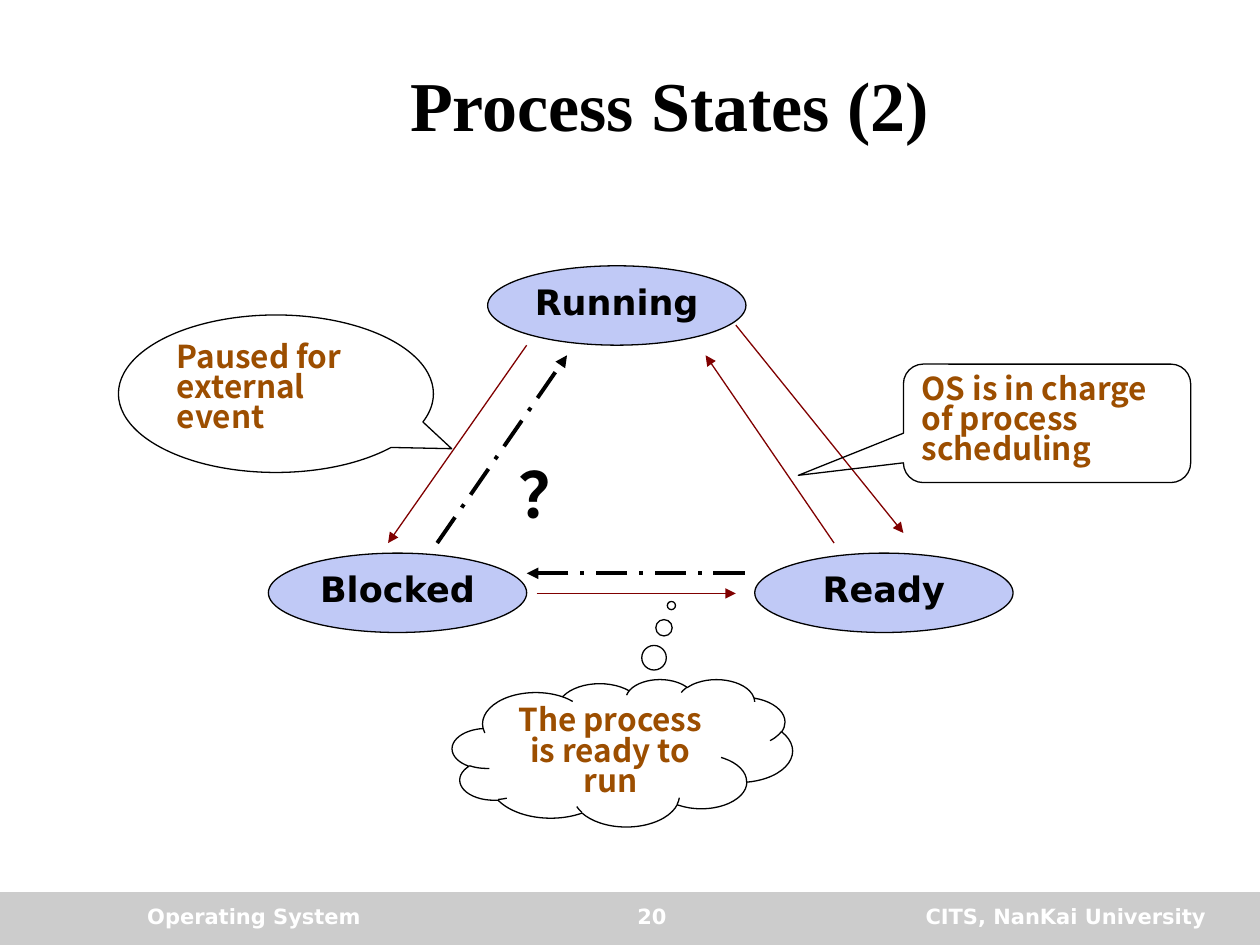
import dataclasses

import pptx
import pptx.dml.color
import pptx.enum.dml
import pptx.enum.shapes
import pptx.enum.text
import pptx.oxml.ns
import pptx.util
from lxml import etree
from pptx.util import Inches

ALIGN = pptx.enum.text.PP_ALIGN
ANCHOR = pptx.enum.text.MSO_ANCHOR
SHAPE = pptx.enum.shapes.MSO_SHAPE


@dataclasses.dataclass(frozen=True)
class Theme:
    ink: str = "000000"
    white: str = "FFFFFF"
    band: str = "CCCCCC"
    state: str = "C0C9F6"
    arrow: str = "800000"
    note: str = "9C4E00"
    title_font: str = "Times New Roman"
    label_font: str = "DejaVu Sans"
    note_font: str = "Noto Sans CJK SC"
    title_size: int = 40
    question_size: int = 36
    state_size: int = 20
    note_size: int = 18
    footer_size: int = 12
    thin: float = 0.75
    thick: float = 2.25


THEME = Theme()


def rgb(color):
    return pptx.dml.color.RGBColor.from_string(color)


def write(box, text, font, size, color, align=ALIGN.LEFT,
          anchor=ANCHOR.TOP, wrap=True, spacing=1.0):
    frame = box.text_frame
    frame.word_wrap = wrap
    frame.vertical_anchor = anchor
    para = frame.paragraphs[0]
    para.text = text
    para.alignment = align
    para.line_spacing = spacing
    para.font.name = font
    para.font.size = pptx.util.Pt(size)
    para.font.bold = True
    para.font.color.rgb = rgb(color)


def add_text(page, place, *args, **options):
    box = page.shapes.add_textbox(*map(Inches, place))
    write(box, *args, **options)


def add_outline(page, kind, place, fill=None, line=THEME.ink):
    shape = page.shapes.add_shape(kind, *map(Inches, place))
    shape.shadow.inherit = False
    if fill:
        shape.fill.solid()
        shape.fill.fore_color.rgb = rgb(fill)
    else:
        shape.fill.background()
    if line:
        shape.line.color.rgb = rgb(line)
        shape.line.width = pptx.util.Pt(THEME.thin)
    else:
        shape.line.fill.background()
    return shape


def add_state(page, name, left, top):
    shape = add_outline(page, SHAPE.OVAL, (left, top, 2.05, 0.63), THEME.state)
    write(shape, name, THEME.label_font, THEME.state_size, THEME.ink,
          ALIGN.CENTER, ANCHOR.MIDDLE, wrap=False, spacing=0.8)


def add_callout(page, kind, place, adjustments, text, align=ALIGN.LEFT):
    shape = add_outline(page, kind, place)
    for index, value in enumerate(adjustments):
        shape.adjustments[index] = value
    write(shape, text, THEME.note_font, THEME.note_size, THEME.note,
          align, spacing=0.8)


def add_arrow(page, start, end, color, width, dash=None):
    arrow = page.shapes.add_connector(
        pptx.enum.shapes.MSO_CONNECTOR.STRAIGHT, *map(Inches, start + end))
    arrow.line.color.rgb = rgb(color)
    arrow.line.width = pptx.util.Pt(width)
    if dash:
        arrow.line.dash_style = dash
    qn = pptx.oxml.ns.qn
    properties = arrow.line._get_or_add_ln()
    etree.SubElement(properties, qn("a:tailEnd"), type="triangle")
    etree.SubElement(properties.getparent(), qn("a:effectLst"))


def add_footer(page):
    add_outline(page, SHAPE.RECTANGLE, (0, 7.08, 10, 0.42), THEME.band, None)
    for text, left, width, align in (
        ("Operating System", 1.07, 2.75, ALIGN.LEFT),
        ("CITS, NanKai University", 6.5, 3.17, ALIGN.RIGHT),
        ("20", 4.01, 2.33, ALIGN.CENTER),
    ):
        add_text(page, (left, 7.12, width, 0.33), text, THEME.label_font,
                 THEME.footer_size, THEME.white, align)


def main():
    deck = pptx.Presentation()
    deck.slide_width, deck.slide_height = Inches(10), Inches(7.5)
    page = deck.slides.add_slide(deck.slide_layouts[6])

    add_footer(page)
    add_text(page, (1.06, 0.33, 8.51, 0.98), "Process States (2)",
             THEME.title_font, THEME.title_size, THEME.ink,
             ALIGN.CENTER, ANCHOR.MIDDLE)

    for name, left, top in (("Running", 3.87, 2.11), ("Blocked", 2.13, 4.39),
                            ("Ready", 5.99, 4.39)):
        add_state(page, name, left, top)

    for start, end in (
        ((4.18, 2.74), (3.08, 4.31)),
        ((5.84, 2.58), (7.17, 4.23)),
        ((4.26, 4.71), (5.84, 4.71)),
        ((6.62, 4.31), (5.6, 2.82)),
    ):
        add_arrow(page, start, end, THEME.arrow, THEME.thin)

    add_callout(page, SHAPE.CLOUD_CALLOUT, (3.59, 5.39, 2.7, 1.17),
                (0.144, -0.999), "The process is ready to run", ALIGN.CENTER)
    add_callout(page, SHAPE.OVAL_CALLOUT, (0.94, 2.5, 2.5, 1.25),
                (0.558, 0.349), "Paused for external event")
    add_callout(page, SHAPE.ROUNDED_RECTANGULAR_CALLOUT,
                (7.17, 2.89, 2.28, 0.94), (-0.866, 0.439, 0.167),
                "OS is in charge of process scheduling")

    for start, end in (((3.47, 4.31), (4.5, 2.82)),
                       ((5.91, 4.55), (4.18, 4.55))):
        add_arrow(page, start, end, THEME.ink, THEME.thick,
                  pptx.enum.dml.MSO_LINE.LONG_DASH_DOT)

    add_text(page, (4.02, 3.68, 0.55, 0.59), "？", THEME.label_font,
             THEME.question_size, THEME.ink, spacing=0.8)

    deck.save("out.pptx")


if __name__ == "__main__":
    main()
